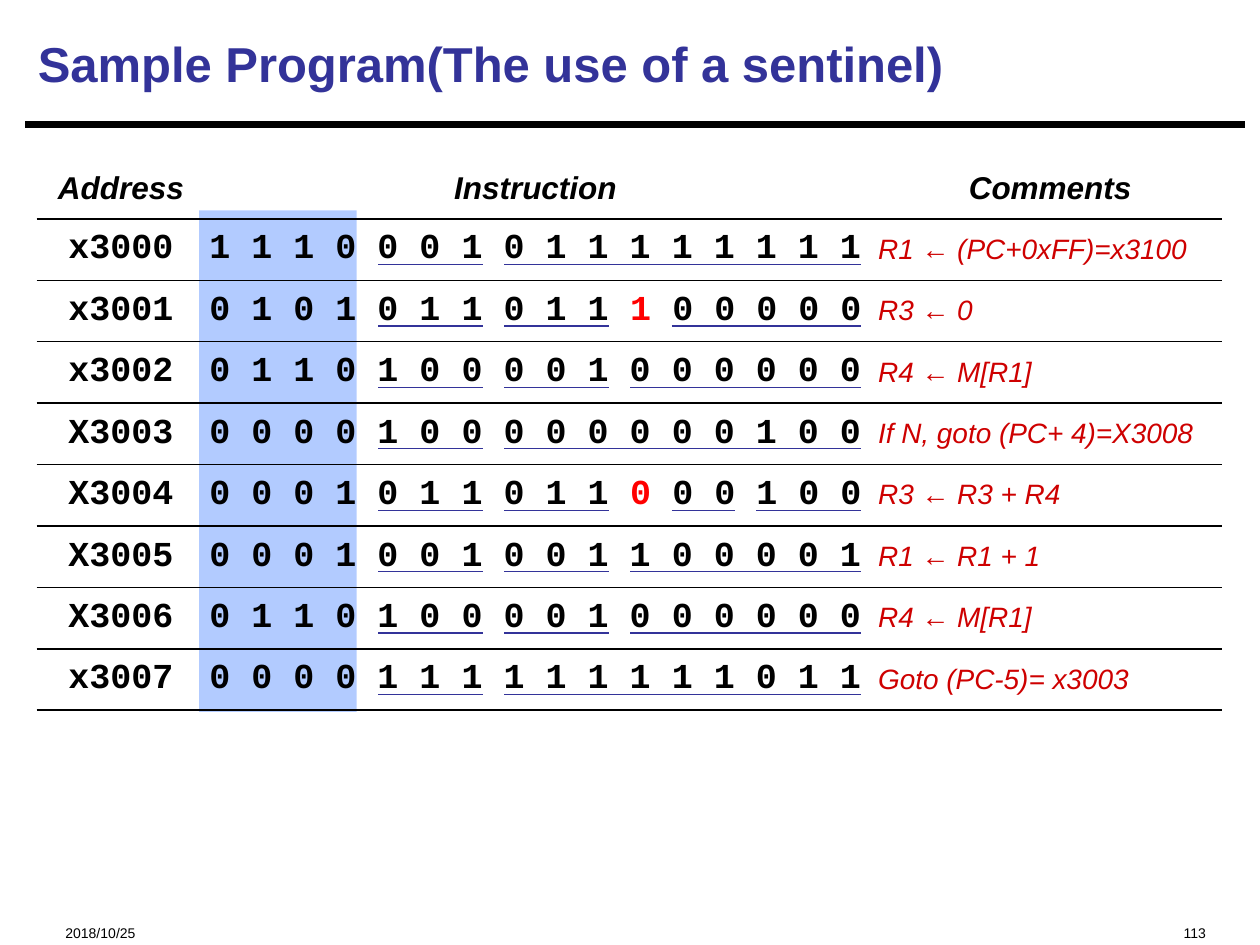
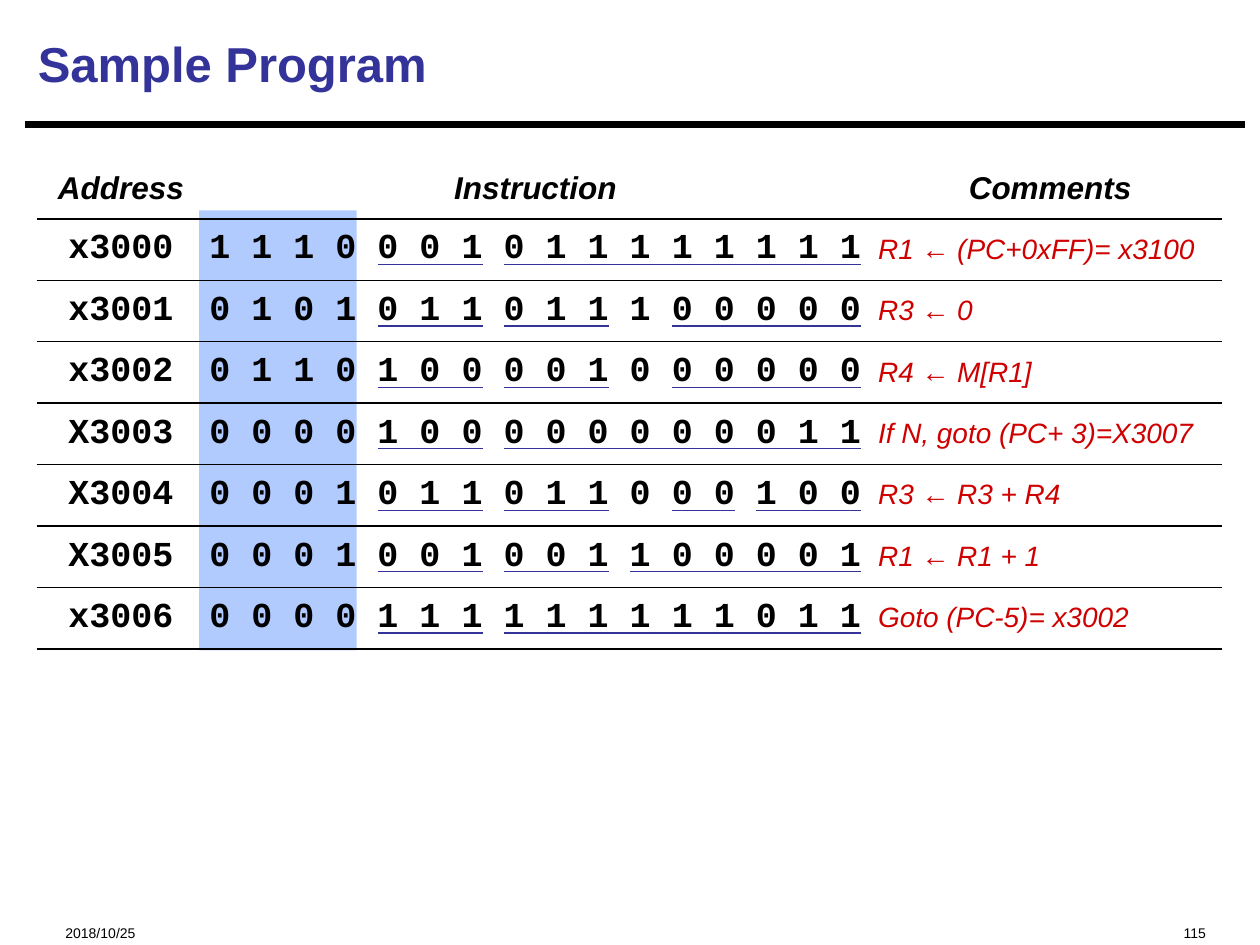
"""Build two slides that list sample machine programs bit by bit."""
from itertools import groupby

from lxml import etree
from pptx import Presentation, util as u
from pptx.dml.color import RGBColor
from pptx.enum import shapes, text
from pptx.oxml import ns

BLACK, NAVY, BLUE = "000000", "333399", "6699FF"
RED, WINE = "FF0000", "CE0000"
LEFT, TOP, ROW = 0.29, 1.25, 3.9 / 8
COLS = (1.24, 5.34, 2.83)
HEADS = ("Address", "Instruction", "Comments")
BIT_X, BIT, GLYPH = 5 / 3, 1 / 3, 1 / 6
OPCODE = 4
PAR = text.PP_ALIGN
MID = text.MSO_ANCHOR.MIDDLE

START = ("x3000", "1110 001 011111111")
CLEAR = ("x3001", "0101 011 011 1 00000", "R3 ← 0")
ADD = ("X3004", "0001 011 011 0 00 100", "R3 ← R3 + R4")
STEP = ("X3005", "0001 001 001 100001", "R1 ← R1 + 1")
LOAD = ("0110 100 001 000000", "R4 ← M[R1]")
JUMP = "0000 111 111111011"

SENTINEL = [
    (*START, "R1 ← (PC+0xFF)=x3100"),
    CLEAR,
    ("x3002", *LOAD),
    ("X3003", "0000 100 000000100", "If N, goto (PC+ 4)=X3008"),
    ADD,
    STEP,
    ("X3006", *LOAD),
    ("x3007", JUMP, "Goto (PC-5)= x3003"),
]
SAMPLE = [
    (*START, "R1 ← (PC+0xFF)= x3100"),
    CLEAR,
    ("x3002", "0110 100 001 0 00000", "R4 ← M[R1]"),
    ("X3003", "0000 100 000000011", "If N, goto (PC+ 3)=X3007"),
    ADD,
    STEP,
    ("x3006", JUMP, "Goto (PC-5)= x3002"),
]


def color(code):
    return RGBColor.from_string(code)


def write(frame, words, size=20, face="Arial", hue=BLACK, bold=False,
          slant=False, align=PAR.LEFT):
    """Fill a frame with a string or with (string, colour) pairs."""
    para = frame.paragraphs[0]
    para.alignment = align
    for part, tint in [(words, hue)] if isinstance(words, str) else words:
        run = para.add_run()
        run.text = part
        font = run.font
        font.size, font.name = u.Pt(size), face
        font.bold, font.italic = bold, slant
        font.color.rgb = color(tint)


def place(shape, *box):
    shape.left, shape.top, shape.width, shape.height = map(u.Inches, box)


def line(slide, x, y, end, hue, width):
    """Draw a level line from x to end."""
    rule = slide.shapes.add_connector(
        shapes.MSO_CONNECTOR.STRAIGHT, *map(u.Inches, (x, y, end, y)))
    rule.line.color.rgb = color(hue)
    rule.line.width = u.Pt(width)
    etree.SubElement(rule._element.spPr, ns.qn("a:effectLst"))


def note(slide, words, x, width, align):
    """Add a small footer text."""
    box = slide.shapes.add_textbox(*map(u.Inches, (x, 7.15, width, 0.32)))
    frame = box.text_frame
    frame.word_wrap = True
    frame.vertical_anchor = text.MSO_ANCHOR.BOTTOM
    frame.margin_bottom = 0
    write(frame, words, size=8, align=align)


def base(deck, title, page):
    """Start a slide with title, rule and footers."""
    slide = deck.slides.add_slide(deck.slide_layouts[5])
    head = slide.shapes.title
    place(head, 0.2, 0.08, 9.67, 0.84)
    head.text_frame.vertical_anchor = MID
    write(head.text_frame, title, size=28, hue=NAVY, bold=True)
    line(slide, 0.2, 0.99, 9.88, BLACK, 3.75)
    note(slide, "2018/10/25", 0.42, 2.5, PAR.LEFT)
    note(slide, page, 6.67, 3, PAR.RIGHT)
    return slide


def band(slide, count):
    """Shade the opcode bits of all rows."""
    shape = slide.shapes.add_shape(
        shapes.MSO_SHAPE.RECTANGLE,
        *map(u.Inches, (1.58, 1.67, 1.25, count * ROW + 0.08)))
    shape.shadow.inherit = False
    shape.line.fill.background()
    shape.fill.solid()
    shape.fill.fore_color.rgb = color(BLUE)
    tint = shape._element.spPr.find(".//" + ns.qn("a:srgbClr"))
    etree.SubElement(tint, ns.qn("a:alpha"), val="50000")


def edge(cell, side, hue=None):
    """Set one border of a cell, or clear it."""
    ln = etree.SubElement(cell._tc.get_or_add_tcPr(), ns.qn("a:ln" + side),
                          w=str(u.Pt(1)))
    if hue:
        fill = etree.SubElement(ln, ns.qn("a:solidFill"))
        etree.SubElement(fill, ns.qn("a:srgbClr"), val=hue)
    else:
        etree.SubElement(ln, ns.qn("a:noFill"))


def fill(cell, first, words, **form):
    """Format one table cell and write its text."""
    edge(cell, "L")
    edge(cell, "R")
    edge(cell, "T", None if first else BLACK)
    edge(cell, "B", BLACK)
    cell.fill.background()
    cell.vertical_anchor = MID
    cell.margin_left = u.Inches(0.1)
    cell.margin_right = cell.margin_top = cell.margin_bottom = 0
    write(cell.text_frame, words, **form)


def spell(code, lone):
    """Space the bits out and join those of one colour into runs."""
    bits = [(bit + " ", lone if len(group) == 1 else BLACK)
            for group in code.split() for bit in group]
    runs = [("".join(bit for bit, _ in part), hue)
            for hue, part in groupby(bits, key=lambda pair: pair[1])]
    last, hue = runs[-1]
    return runs[:-1] + [(last.rstrip(), hue)]


def grid(slide, rows, lone):
    """Add the table of addresses, bits and comments."""
    count = len(rows) + 1
    table = slide.shapes.add_table(
        count, len(COLS),
        *map(u.Inches, (LEFT, TOP, sum(COLS), count * ROW))).table
    table.first_row = table.horz_banding = False
    for col, width in zip(table.columns, COLS):
        col.width = u.Inches(width)
    for row in table.rows:
        row.height = u.Inches(ROW)
    for col, head in enumerate(HEADS):
        fill(table.cell(0, col), True, head, size=18, bold=True, slant=True,
             align=PAR.CENTER)
    mono = dict(face="Courier New", bold=True, align=PAR.CENTER)
    for num, (place_id, code, gloss) in enumerate(rows, 1):
        fill(table.cell(num, 0), False, place_id, **mono)
        fill(table.cell(num, 1), False, spell(code, lone), **mono)
        fill(table.cell(num, 2), False, gloss, size=16, hue=WINE, slant=True)


def marks(slide, rows):
    """Underline each field of two or more bits after the opcode."""
    for num, (_, code, _) in enumerate(rows):
        bit = OPCODE
        for group in code.split()[1:]:
            x = BIT_X + bit * BIT
            bit += len(group)
            if len(group) > 1:
                end = BIT_X + (bit - 1) * BIT + GLYPH
                line(slide, x, 2.1 + num * ROW, end, NAVY, 0.75)


def listing(deck, title, page, rows, lone=BLACK):
    """Build one program slide; lone is the colour of single-bit fields."""
    slide = base(deck, title, page)
    band(slide, len(rows))
    grid(slide, rows, lone)
    marks(slide, rows)


def main():
    deck = Presentation()
    deck.slide_width, deck.slide_height = u.Inches(10), u.Inches(7.5)
    listing(deck, "Sample Program(The use of a sentinel)", "113", SENTINEL,
            lone=RED)
    listing(deck, "Sample Program", "115", SAMPLE)
    deck.save("out.pptx")


if __name__ == "__main__":
    main()
